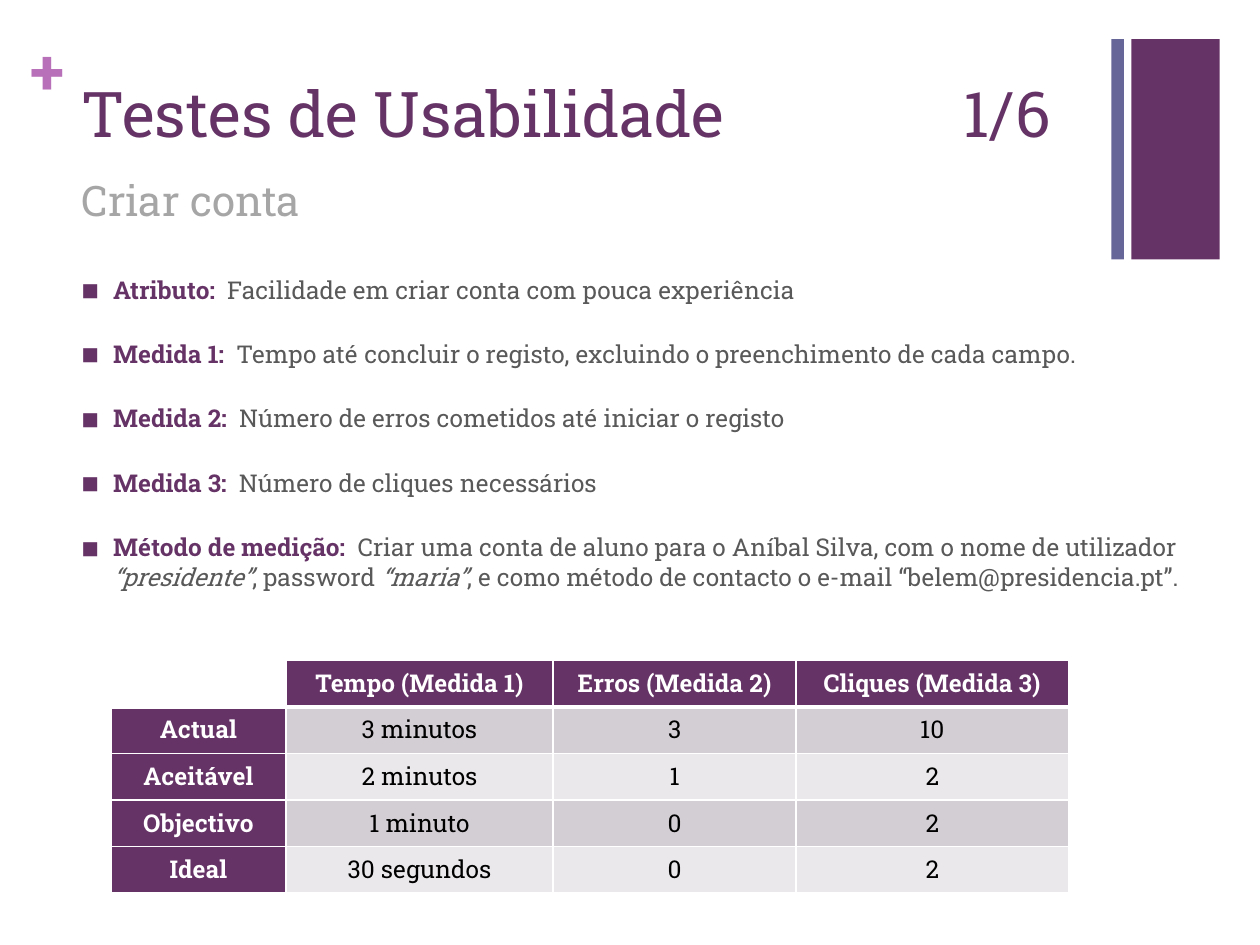
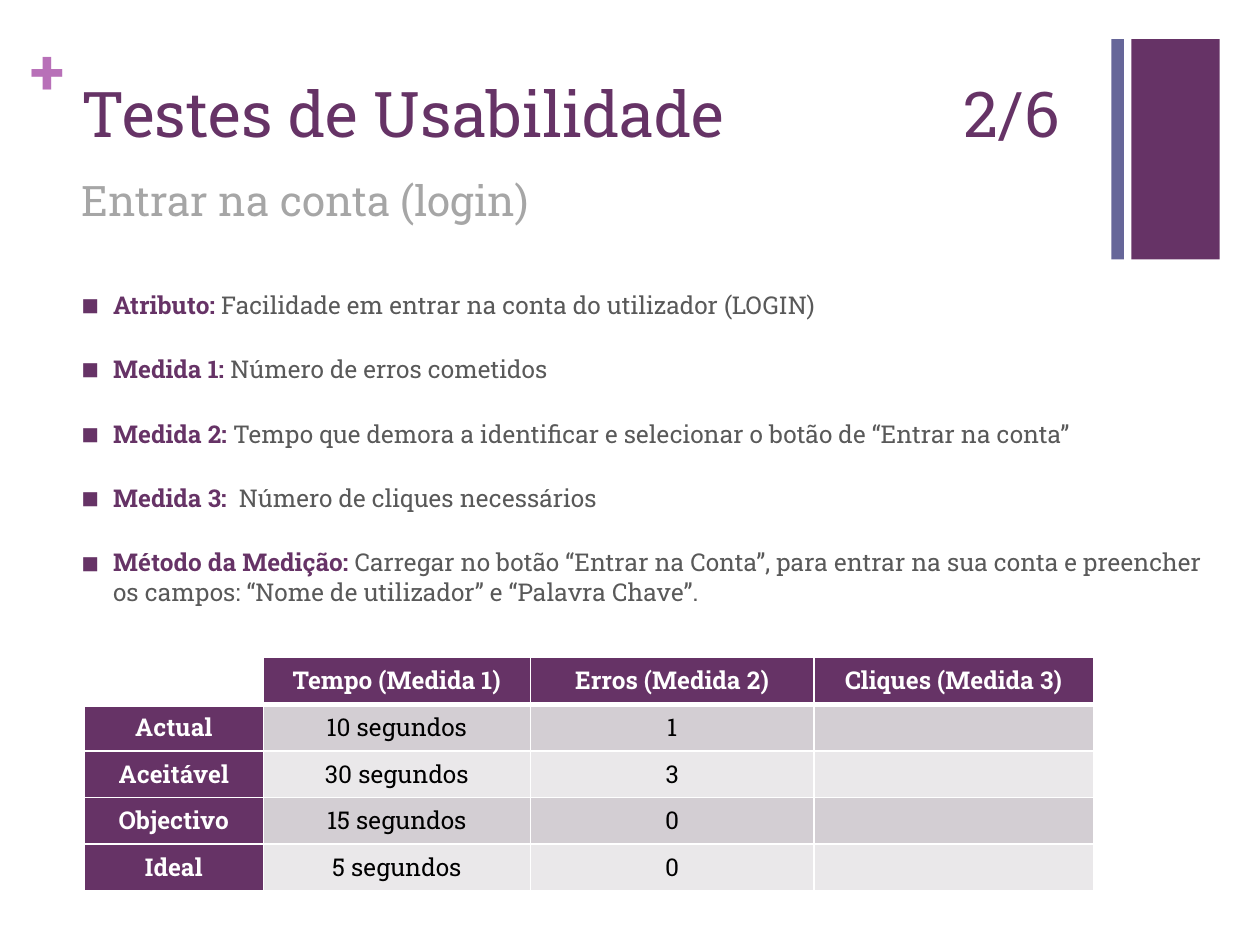
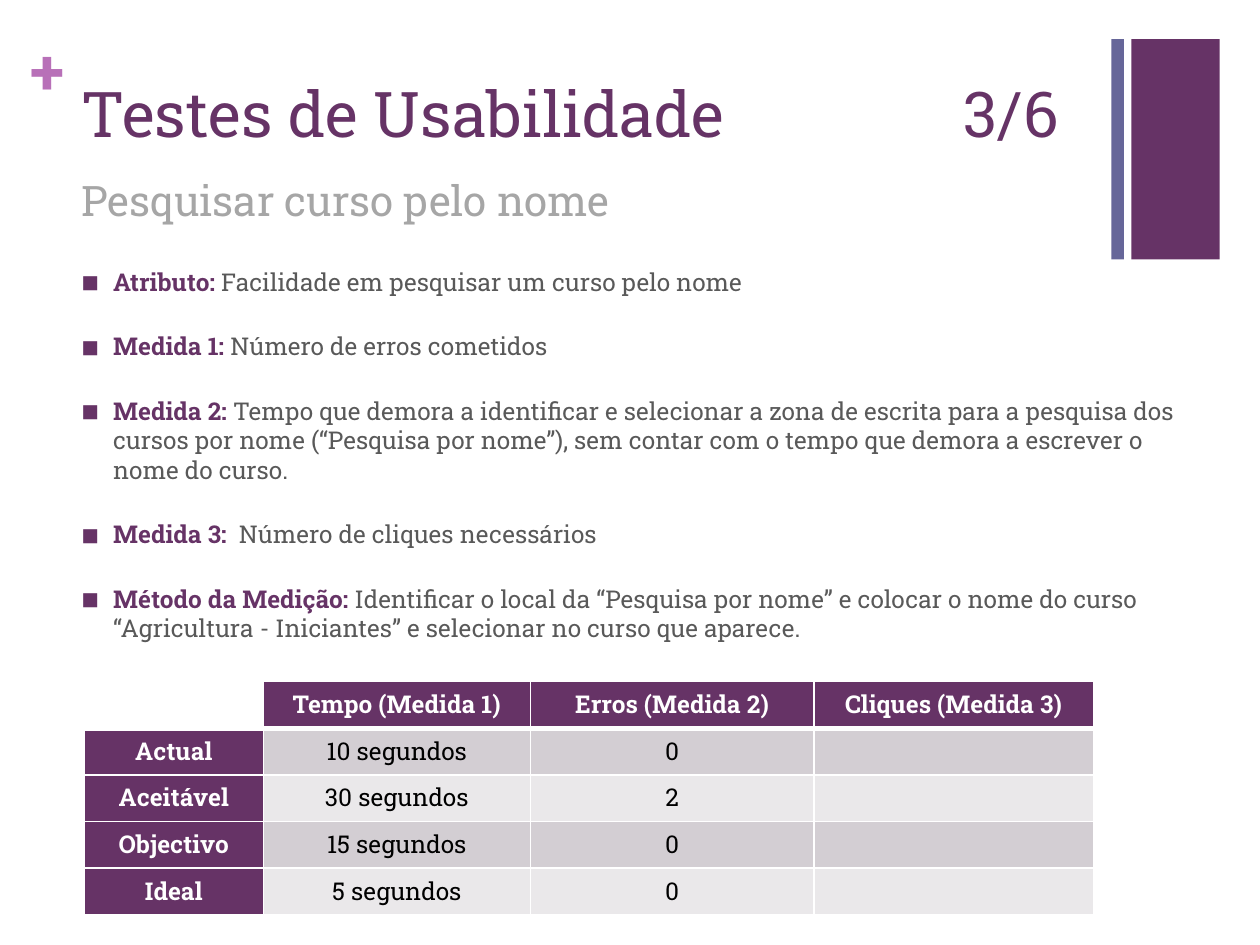
from pptx import Presentation
from pptx.dml.color import RGBColor
from pptx.enum.shapes import MSO_SHAPE as Shape
from pptx.enum.text import MSO_ANCHOR as Anchor, MSO_AUTO_SIZE as AutoSize, PP_ALIGN as Align
from pptx.oxml.ns import qn
from pptx.util import Emu, Inches, Pt
from lxml.etree import SubElement

# Content: *...* marks italics
TITLE = "Testes de Usabilidade"
TOTAL = 6
HEADERS = ["", "Tempo (Medida 1)", "Erros (Medida 2)", "Cliques (Medida 3)"]
LEVELS = ["Actual", "Aceitável", "Objectivo", "Ideal"]
NARROW = {"left": 0.88, "columns": [1.39, 2.12, 1.93, 2.16]}
WIDE = {"left": 0.67, "columns": [1.42, 2.12, 2.25, 2.22]}

TESTS = [
    {
        "subtitle": "Criar conta",
        "body": (2.13, 9.13, 2.97),
        "points": [
            ("Atributo:  ", "Facilidade em criar conta com pouca experiência"),
            ("Medida 1: ", " Tempo até concluir o registo, excluindo o preenchimento de cada campo."),
            ("Medida 2:  ", "Número de erros cometidos até iniciar o registo"),
            ("Medida 3: ", " Número de cliques necessários"),
            ("Método de medição: ",
             " Criar uma conta de aluno para o Aníbal Silva, com o nome de utilizador "
             "*“presidente”*, password *“maria”*, e como método de contacto o e-mail "
             "“belem@presidencia.pt”."),
        ],
        "grid": NARROW,
        "table_top": 5.24,
        "values": [("3 minutos", "3", "10"), ("2 minutos", "1", "2"),
                   ("1 minuto", "0", "2"), ("30 segundos", "0", "2")],
    },
    {
        "subtitle": "Entrar na conta (login)",
        "body": (2.25, 9.13, 2.48),
        "points": [
            ("Atributo: ", "Facilidade em entrar na conta do utilizador (LOGIN)"),
            ("Medida 1: ", "Número de erros cometidos"),
            ("Medida 2: ", "Tempo que demora a identificar e selecionar o botão de “Entrar na conta”"),
            ("Medida 3:  ", "Número de cliques necessários"),
            ("Método da Medição: ",
             "Carregar no botão “Entrar na Conta”, para entrar na sua conta e preencher "
             "os campos: “Nome de utilizador” e “Palavra Chave”."),
        ],
        "grid": WIDE,
        "table_top": 5.22,
        "values": [("10 segundos", "1", ""), ("30 segundos", "3", ""),
                   ("15 segundos", "0", ""), ("5 segundos", "0", "")],
    },
    {
        "subtitle": "Pesquisar curso pelo nome",
        "body": (2.07, 9, 3.21),
        "points": [
            ("Atributo: ", "Facilidade em pesquisar um curso pelo nome"),
            ("Medida 1: ", "Número de erros cometidos"),
            ("Medida 2: ",
             "Tempo que demora a identificar e selecionar a zona de escrita para a pesquisa "
             "dos cursos por nome (“Pesquisa por nome”), sem contar com o tempo que demora "
             "a escrever o nome do curso."),
            ("Medida 3: ", " Número de cliques necessários"),
            ("Método da Medição: ",
             "Identificar o local da “Pesquisa por nome” e colocar o nome do curso "
             "“Agricultura - Iniciantes” e selecionar no curso que aparece."),
        ],
        "grid": WIDE,
        "table_top": 5.41,
        "values": [("10 segundos", "0", ""), ("30 segundos", "2", ""),
                   ("15 segundos", "0", ""), ("5 segundos", "0", "")],
    },
]

# Shared look
FONT = "Roboto Slab"
COLORS = {"plum": "663366", "slate": "666699", "orchid": "B870B8", "grey": "A6A6A6",
          "text": "595959", "black": "000000", "white": "FFFFFF",
          "band_dark": "D3CED3", "band_light": "EAE8EA"}
STYLES = {
    "title": {"size": Pt(36), "color": "plum", "bold": False},
    "plus": {"size": Pt(36), "color": "orchid", "bold": True},
    "subtitle": {"size": Pt(24), "color": "grey", "bold": False},
    "label": {"size": Pt(14), "color": "plum", "bold": True},
    "text": {"size": Pt(14), "color": "text", "bold": False},
    "heading": {"size": Pt(14), "color": "white", "bold": True},
    "value": {"size": Pt(14), "color": "black", "bold": False},
}
BARS = [((8.98, 0.31, 0.7, 1.75), "plum"), ((8.82, 0.31, 0.1, 1.75), "slate")]
PLUS_BOX = (0.24, 0.25, 0.29, 0.61)
LEFT = 0.55
TITLE_BOX = (LEFT, 0.53, 8.26, 1.22)
SUBTITLE_BOX = (LEFT, 1.33, 8.26, 0.92)
TAB_STOPS = (6, 7)
INDENT = 0.25
ROW_HEIGHT = 0.37


def rgb(name):
    return RGBColor.from_string(COLORS[name])


def add_run(paragraph, text, style, italic=False):
    run = paragraph.add_run()
    run.text = text
    values = {"name": FONT, "italic": italic, **STYLES[style]}
    run.font.color.rgb = rgb(values.pop("color"))
    for key, value in values.items():
        setattr(run.font, key, value)


def prepare_frame(shape, inset=None):
    frame = shape.text_frame
    values = {"word_wrap": True, "auto_size": AutoSize.NONE, "vertical_anchor": Anchor.TOP}
    if inset is not None:
        values.update(dict.fromkeys(
            ("margin_left", "margin_top", "margin_right", "margin_bottom"), inset))
    for key, value in values.items():
        setattr(frame, key, value)
    return frame


def add_text_box(slide, box, inset=None):
    return prepare_frame(slide.shapes.add_textbox(*map(Inches, box)), inset)


def add_bands(slide):
    for box, color in BARS:
        bar = slide.shapes.add_shape(Shape.RECTANGLE, *map(Inches, box))
        bar.shadow.inherit = False
        bar.fill.solid()
        bar.fill.fore_color.rgb = rgb(color)
        bar.line.fill.background()
    add_run(add_text_box(slide, PLUS_BOX, 0).paragraphs[0], "+", "plus")


def set_title(slide, number):
    title = slide.shapes.title
    for side, value in zip(("left", "top", "width", "height"), TITLE_BOX):
        setattr(title, side, Inches(value))
    paragraph = prepare_frame(title).paragraphs[0]
    paragraph.alignment = Align.LEFT
    paragraph.line_spacing = Pt(44)
    add_run(paragraph, f"{TITLE}\t\t{number}/{TOTAL}", "title")
    stops = SubElement(paragraph._p.get_or_add_pPr(), qn("a:tabLst"))
    for stop in TAB_STOPS:
        SubElement(stops, qn("a:tab"), pos=str(Inches(stop)), algn="l")


def add_subtitle(slide, text):
    paragraph = add_text_box(slide, SUBTITLE_BOX).paragraphs[0]
    paragraph.line_spacing = Pt(29)
    add_run(paragraph, text, "subtitle")


def add_bullet(paragraph):
    properties = paragraph._p.get_or_add_pPr()
    properties.set("marL", str(Inches(INDENT)))
    properties.set("indent", str(-Inches(INDENT)))
    color = SubElement(properties, qn("a:buClr"))
    SubElement(color, qn("a:srgbClr"), val=COLORS["plum"])
    SubElement(properties, qn("a:buSzPct"), val="75000")
    SubElement(properties, qn("a:buFont"), typeface=FONT)
    SubElement(properties, qn("a:buChar"), char="■")


def add_points(slide, box, points):
    frame = add_text_box(slide, (LEFT, *box))
    for index, (label, text) in enumerate(points):
        paragraph = frame.add_paragraph() if index else frame.paragraphs[0]
        paragraph.line_spacing = Pt(16.8)
        if index:
            paragraph.space_before = Pt(20)
        add_bullet(paragraph)
        add_run(paragraph, label, "label")
        for part, piece in enumerate(text.split("*")):
            add_run(paragraph, piece, "text", italic=part % 2 == 1)


def add_borders(cell, row):
    # The rule under the header is thicker
    widths = {"L": 1, "R": 1, "T": 3 if row == 1 else 1, "B": 3 if row == 0 else 1}
    properties = cell._tc.get_or_add_tcPr()
    for side, width in widths.items():
        line = SubElement(properties, qn(f"a:ln{side}"), w=str(Pt(width)))
        SubElement(SubElement(line, qn("a:solidFill")), qn("a:srgbClr"), val=COLORS["white"])


def format_cell(cell, text, row, column):
    heading = row == 0 or column == 0
    add_borders(cell, row)
    if row == 0 and column == 0:
        cell.fill.background()
    else:
        band = "band_dark" if row % 2 else "band_light"
        cell.fill.solid()
        cell.fill.fore_color.rgb = rgb("plum" if heading else band)
    paragraph = cell.text_frame.paragraphs[0]
    paragraph.alignment = Align.CENTER
    if text:
        add_run(paragraph, text, "heading" if heading else "value")
    else:
        SubElement(paragraph._p, qn("a:endParaRPr"), sz="1400")


def add_results(slide, grid, top, values):
    rows = [HEADERS] + [[level, *line] for level, line in zip(LEVELS, values)]
    widths = [Inches(width) for width in grid["columns"]]
    table = slide.shapes.add_table(
        len(rows), len(widths), Inches(grid["left"]), Inches(top),
        Emu(sum(widths)), Inches(ROW_HEIGHT * len(rows))).table
    table.first_row = table.horz_banding = False
    for column, width in zip(table.columns, widths):
        column.width = width
    for row, texts in enumerate(rows):
        table.rows[row].height = Inches(ROW_HEIGHT)
        for column, text in enumerate(texts):
            format_cell(table.cell(row, column), text, row, column)


def main():
    presentation = Presentation()
    presentation.slide_width, presentation.slide_height = Inches(10), Inches(7.5)
    title_only = presentation.slide_layouts[5]
    for number, test in enumerate(TESTS, start=1):
        slide = presentation.slides.add_slide(title_only)
        add_bands(slide)
        set_title(slide, number)
        add_subtitle(slide, test["subtitle"])
        add_points(slide, test["body"], test["points"])
        add_results(slide, test["grid"], test["table_top"], test["values"])
    presentation.save("out.pptx")


if __name__ == "__main__":
    main()
